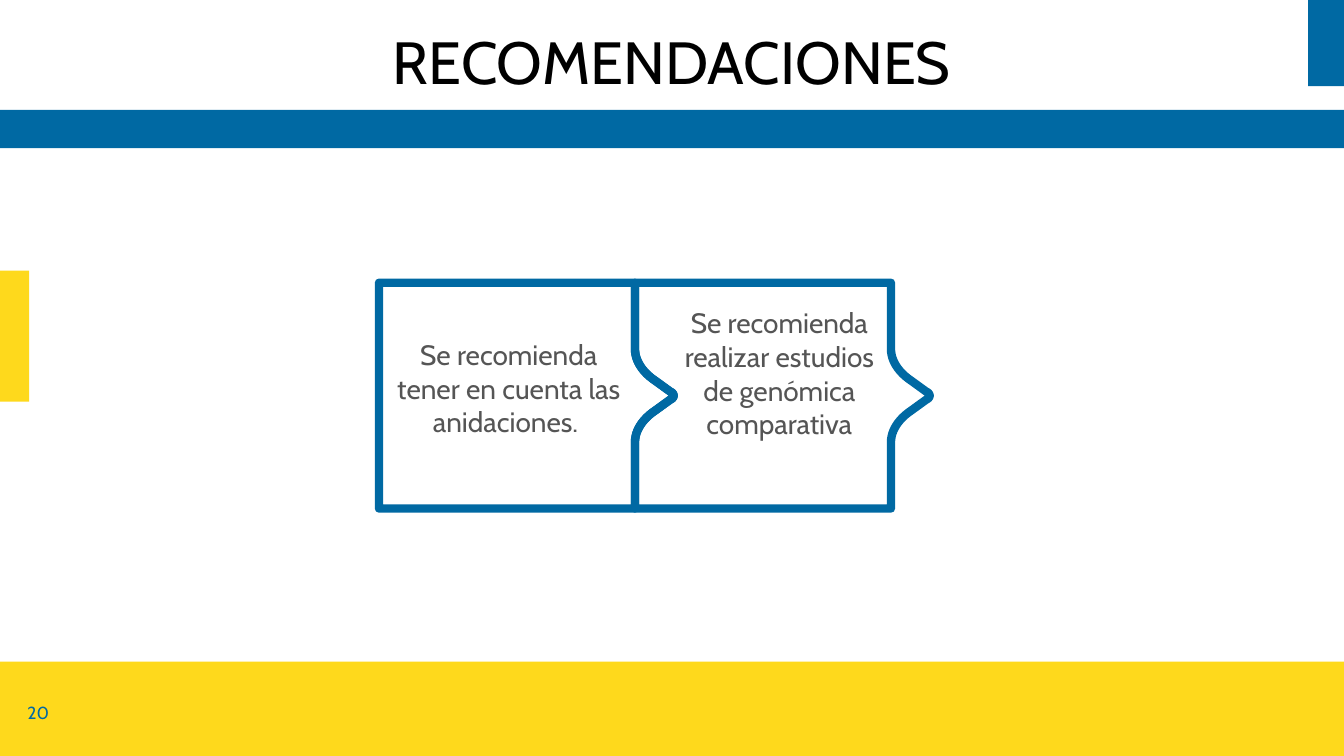
from lxml.etree import SubElement
from pptx import Presentation
from pptx.dml.color import RGBColor
from pptx.enum.shapes import MSO_SHAPE as Shape
from pptx.enum.text import MSO_ANCHOR as Anchor, MSO_AUTO_SIZE as AutoSize, PP_ALIGN as Align
from pptx.oxml.ns import qn
from pptx.util import Inches, Pt

WIDTH, HEIGHT = 26.67, 15
BLUE = RGBColor(0x00, 0x69, 0xA3)
YELLOW = RGBColor(0xFE, 0xD9, 0x1C)
BLACK = RGBColor(0x00, 0x00, 0x00)
GRAY = RGBColor(0x55, 0x55, 0x55)
FONT = "Cabin"
CURVE_STEPS = 12
PANEL_WIDTH, PANEL_HEIGHT = 5.08, 4.48
PANEL_LEFT, PANEL_TOP = 7.52, 5.61
TEXTS = [
    ("Se recomienda tener en cuenta las anidaciones. ", (-0.31, 0.99, 5.27, 3), 0.5),
    ("Se recomienda realizar estudios de genómica comparativa", (0.84, 0.36, 4.05, 2.71), 0),
]


def place(shape, box):
    """Move a shape to a box given in inches."""
    shape.left, shape.top, shape.width, shape.height = map(Inches, box)


def write(shape, text, size, color, inset, anchor=Anchor.TOP, indent=0, spacing=None):
    """Write one centred paragraph into a shape."""
    frame = shape.text_frame
    frame.word_wrap = True
    frame.auto_size = AutoSize.NONE
    frame.vertical_anchor = anchor
    frame.margin_left = frame.margin_right = Inches(inset)
    frame.margin_top = frame.margin_bottom = Inches(inset)
    para = frame.paragraphs[0]
    para.alignment = Align.CENTER
    para.line_spacing = spacing
    if indent:
        properties = para._p.get_or_add_pPr()
        properties.set("marL", str(Inches(indent)))
        properties.set("indent", "0")
    span = para.add_run()
    span.text = text
    span.font.name = FONT
    span.font.size = Pt(size)
    span.font.color.rgb = color


def add_bar(page, box, color):
    """Draw a plain filled bar."""
    bar = page.shapes.add_shape(Shape.RECTANGLE, *map(Inches, box))
    bar.shadow.inherit = False
    bar.fill.solid()
    bar.fill.fore_color.rgb = color
    bar.line.fill.background()


def add_frame(page):
    """Draw the coloured bars at the edges of the slide."""
    footer_top, side_width = 13.13, 0.58
    corner_left = 25.96
    add_bar(page, (0, footer_top, WIDTH, HEIGHT - footer_top), YELLOW)
    add_bar(page, (0, 5.37, side_width, 2.6), YELLOW)
    add_bar(page, (corner_left, 0, WIDTH - corner_left, 1.71), BLUE)
    add_bar(page, (0, 2.18, WIDTH, 0.76), BLUE)


def curve(start, first, second, end):
    """Return points along a cubic curve."""
    return [
        tuple(
            (1 - t) ** 3 * a + 3 * (1 - t) ** 2 * t * b + 3 * (1 - t) * t**2 * c + t**3 * d
            for a, b, c, d in zip(start, first, second, end)
        )
        for t in (step / CURVE_STEPS for step in range(CURVE_STEPS + 1))
    ]


def pointed_edge(x, middle):
    """Return the points of an edge with a rounded tip, from top to bottom."""
    upper = curve((0, -0.93), (0, -0.7), (0.14, -0.47), (0.41, -0.29))
    tip = curve((0.7, -0.08), (0.79, -0.04), (0.79, 0.04), (0.7, 0.08))
    lower = [(dx, -dy) for dx, dy in reversed(upper)]
    return [(x + dx, middle + dy) for dx, dy in upper + tip + lower]


def add_panel(page, box, notched):
    """Draw an outlined panel whose right side, and left if notched, is pointed."""
    left, top, width, height = box
    right, bottom, middle = left + width, top + height, top + height / 2
    points = [(right, top), *pointed_edge(right, middle), (right, bottom), (left, bottom)]
    if notched:
        points += reversed(pointed_edge(left, middle))
    builder = page.shapes.build_freeform(Inches(left), Inches(top))
    builder.add_line_segments([(Inches(x), Inches(y)) for x, y in points], close=True)
    panel = builder.convert_to_shape()
    panel.shadow.inherit = False
    panel.fill.background()
    panel.line.color.rgb = BLUE
    panel.line.width = Pt(12)
    SubElement(panel.line._get_or_add_ln(), qn("a:round"))


def add_recommendations(page, left, top):
    """Place the row of panels and then their texts."""
    lefts = [left + index * PANEL_WIDTH for index in range(len(TEXTS))]
    for index, x in enumerate(lefts):
        add_panel(page, (x, top, PANEL_WIDTH, PANEL_HEIGHT), notched=index > 0)
    for x, (text, (dx, dy, width, height), indent) in zip(lefts, TEXTS):
        box = page.shapes.add_textbox(*map(Inches, (x + dx, top + dy, width, height)))
        write(box, text, 40, GRAY, 0.1, indent=indent)


def main():
    """Build and save the slide."""
    deck = Presentation()
    deck.slide_width, deck.slide_height = Inches(WIDTH), Inches(HEIGHT)
    page = deck.slides.add_slide(deck.slide_layouts[5])
    add_frame(page)
    title = page.shapes.title
    place(title, (1.96, 0.71, 22.74, 1.67))
    write(title, "RECOMENDACIONES", 85, BLACK, 0.06, spacing=0.8)
    add_recommendations(page, PANEL_LEFT, PANEL_TOP)
    number = page.shapes.add_textbox(*map(Inches, (0.42, 13.89, 0.68, 0.51)))
    write(number, "20", 25, BLUE, 0.06, anchor=Anchor.BOTTOM)
    deck.save("out.pptx")


if __name__ == "__main__":
    main()
